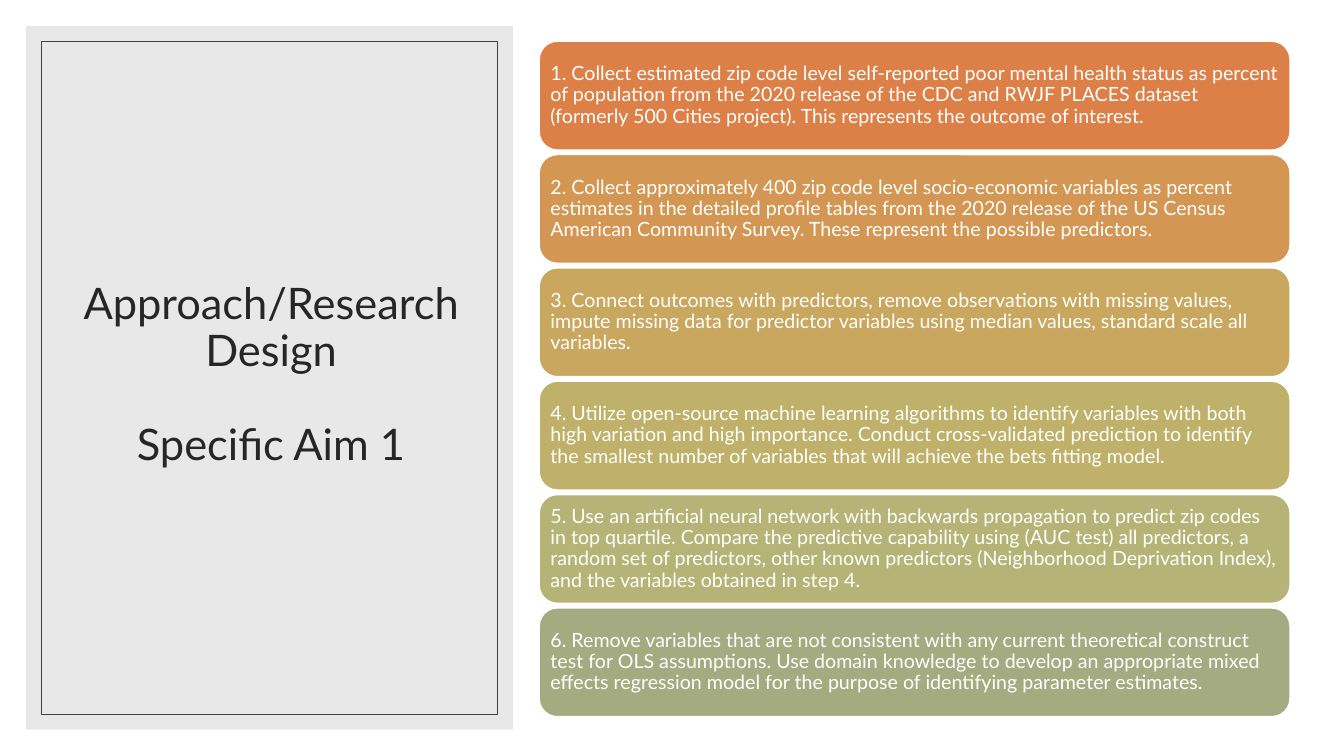
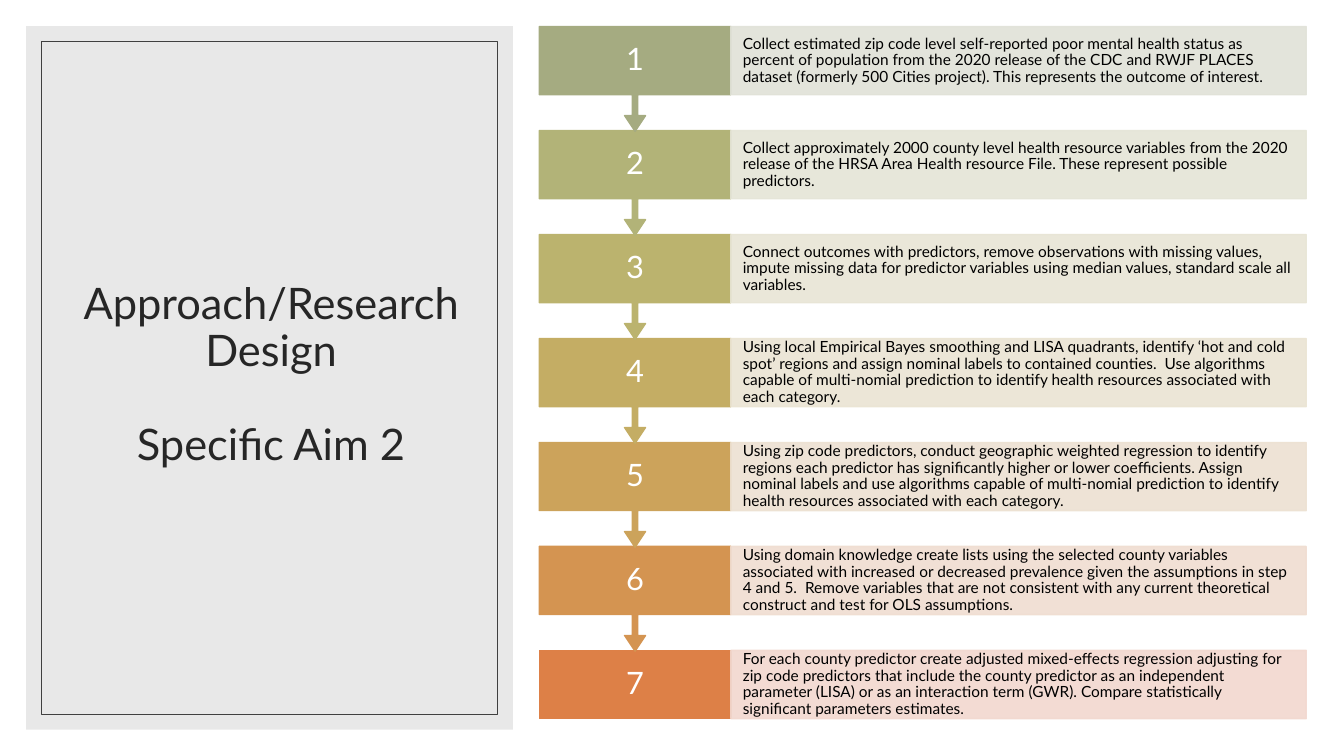
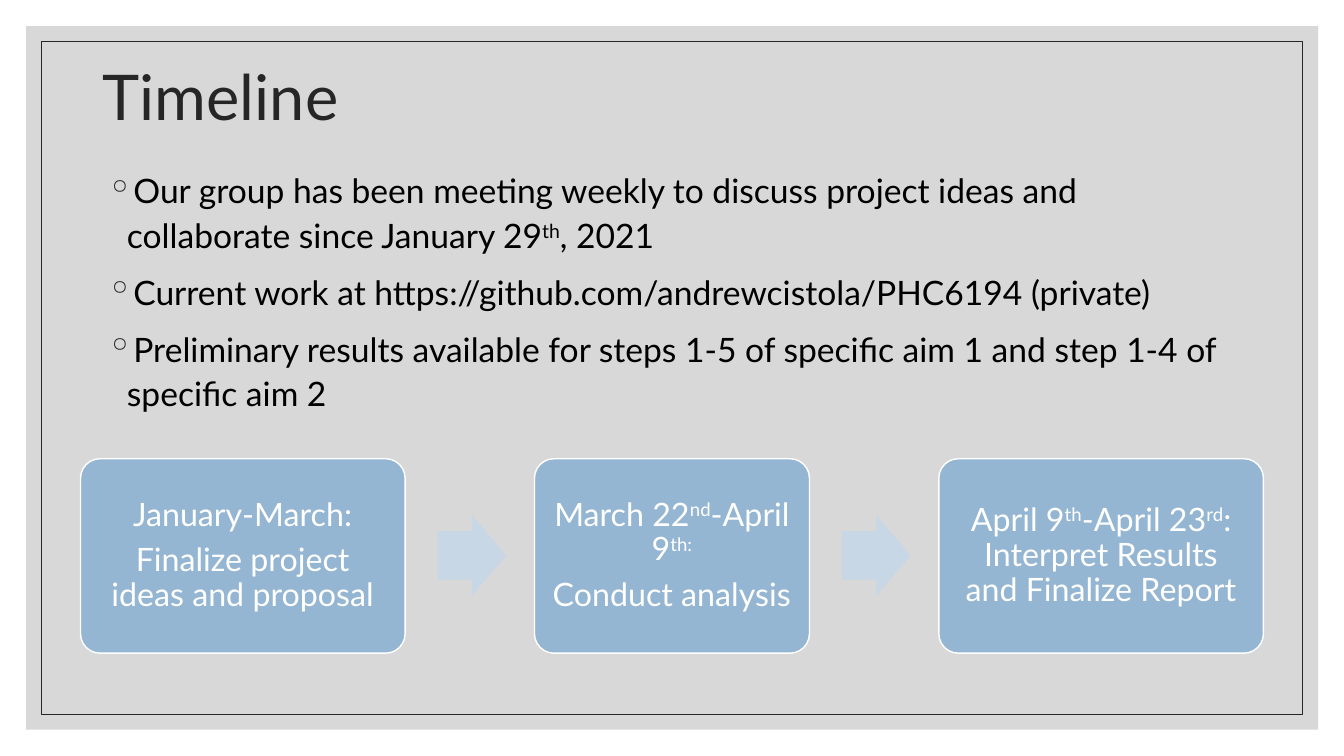
from dataclasses import dataclass

from lxml.etree import SubElement
from pptx import Presentation
from pptx.dml.color import RGBColor
from pptx.enum.shapes import MSO_SHAPE
from pptx.enum.text import MSO_ANCHOR, PP_ALIGN
from pptx.oxml.ns import qn
from pptx.util import Cm, Pt


@dataclass(frozen=True)
class Theme:
    font: str = "Lato"
    white: str = "FFFFFF"
    black: str = "000000"
    title: str = "262626"
    panel: str = "D9D9D9"
    panel_dark: str = "BFBFBF"
    frame: str = "404040"
    frame_dark: str = "262626"
    phase: str = "94B6D2"
    arrow: str = "C8D7E5"
    aim_size: int = 31
    title_size: int = 45
    body_size: int = 24
    phase_size: int = 23
    number_size: int = 22
    card_size: int = 14
    detail_size: int = 11


T = Theme()


def box(s, kind, left, top, width, height, fill=None, line=None, weight=1, opacity=100, adj=()):
    """Add a preset shape; all lengths are in centimetres."""
    sp = s.shapes.add_shape(kind, Cm(left), Cm(top), Cm(width), Cm(height))
    sp.shadow.inherit = False
    for i, value in enumerate(adj):
        sp.adjustments[i] = value
    if fill:
        sp.fill.solid()
        sp.fill.fore_color.rgb = RGBColor.from_string(fill)
    else:
        sp.fill.background()
    if line:
        sp.line.color.rgb = RGBColor.from_string(line)
        sp.line.width = Pt(weight)
    else:
        sp.line.fill.background()
    if opacity < 100:
        for clr in sp._element.spPr.iter(qn("a:srgbClr")):
            SubElement(clr, qn("a:alpha")).set("val", str(opacity * 1000))
    return sp


def write(tf, paragraphs, size, color, align=PP_ALIGN.LEFT, anchor=MSO_ANCHOR.MIDDLE,
          inset=(0.25, 0.13), spacing=0.9, before=0, bullet=None):
    """Fill a text frame; text between two ^ marks is superscript."""
    tf.word_wrap = True
    tf.vertical_anchor = anchor
    tf.margin_left = tf.margin_right = Cm(inset[0])
    tf.margin_top = tf.margin_bottom = Cm(inset[1])
    for i, text in enumerate(paragraphs):
        p = tf.add_paragraph() if i else tf.paragraphs[0]
        if bullet:
            pPr = p._p.get_or_add_pPr()
            pPr.set("marL", str(Cm(0.51)))
            pPr.set("indent", str(-Cm(0.51)))
            SubElement(SubElement(pPr, qn("a:buClr")), qn("a:srgbClr")).set("val", T.title)
            SubElement(pPr, qn("a:buChar")).set("char", bullet)
        p.alignment = align
        p.line_spacing = spacing
        p.space_before = Pt(before if i else 0)
        for j, part in enumerate(text.split("^")):
            if not part:
                continue
            r = p.add_run()
            r.text = part
            r.font.name = T.font
            r.font.size = Pt(size)
            r.font.color.rgb = RGBColor.from_string(color)
            if j % 2:
                r._r.get_or_add_rPr().set("baseline", "30000")


prs = Presentation()
prs.slide_width, prs.slide_height = Cm(33.87), Cm(19.05)

# Shared panel with an inner frame
slides = []
for width, panel, frame in [(12.27, T.panel, T.frame), (12.27, T.panel, T.frame),
                            (32.56, T.panel_dark, T.frame_dark)]:
    s = prs.slides.add_slide(prs.slide_layouts[6])
    box(s, MSO_SHAPE.RECTANGLE, 0.66, 0.66, width, 17.73, fill=panel, opacity=60)
    box(s, MSO_SHAPE.RECTANGLE, 1.04, 1.04, width - 0.78, 16.97, line=frame, weight=0.5)
    slides.append(s)
aim1, aim2, timeline = slides

# Titles of the two aims
for n, s in enumerate([aim1, aim2], 1):
    tb = s.shapes.add_textbox(Cm(1.6), Cm(1.55), Cm(10.46), Cm(15.85))
    write(tb.text_frame, ["Approach/Research Design", f"Specific Aim {n}"],
          T.aim_size, T.title, align=PP_ALIGN.CENTER, before=33.5)

# Aim 1: stacked cards
cards = [
    ("DD8047", "Collect estimated zip code level self-reported poor mental health status as percent of population from the 2020 release of the CDC and RWJF PLACES dataset (formerly 500 Cities project). This represents the outcome of interest."),
    ("D39753", "Collect approximately 400 zip code level socio-economic variables as percent estimates in the detailed profile tables from the 2020 release of the US Census American Community Survey. These represent the possible predictors."),
    ("C9A75F", "Connect outcomes with predictors, remove observations with missing values, impute missing data for predictor variables using median values, standard scale all variables."),
    ("BFB16A", "Utilize open-source machine learning algorithms to identify variables with both high variation and high importance. Conduct cross-validated prediction to identify the smallest number of variables that will achieve the bets fitting model."),
    ("B5B476", "Use an artificial neural network with backwards propagation to predict zip codes in top quartile. Compare the predictive capability using (AUC test) all predictors, a random set of predictors, other known predictors (Neighborhood Deprivation Index), and the variables obtained in step 4."),
    ("A5AB81", "Remove variables that are not consistent with any current theoretical construct test for OLS assumptions. Use domain knowledge to develop an appropriate mixed effects regression model for the purpose of identifying parameter estimates."),
]
card_h = 2.74
card_pitch = (17.02 - card_h) / (len(cards) - 1)
for i, (color, text) in enumerate(cards):
    sp = box(aim1, MSO_SHAPE.ROUNDED_RECTANGLE, 13.59, 1.04 + i * card_pitch, 18.92, card_h,
             fill=color, line=T.white)
    write(sp.text_frame, [f"{i + 1}. {text}"], T.card_size, T.white, inset=(0.15, 0.15))

# Aim 2: numbered steps, drawn from the last so that each arrow lies on top
steps = [
    ("A5AB81", "E1E2D8", "Collect estimated zip code level self-reported poor mental health status as percent of population from the 2020 release of the CDC and RWJF PLACES dataset (formerly 500 Cities project). This represents the outcome of interest."),
    ("B2B378", "E5E5D7", "Collect approximately 2000 county level health resource variables from the 2020 release of the HRSA Area Health resource File. These represent possible predictors."),
    ("BBB36E", "E8E5D5", "Connect outcomes with predictors, remove observations with missing values, impute missing data for predictor variables using median values, standard scale all variables."),
    ("C4AD64", "EBE4D3", "Using local Empirical Bayes smoothing and LISA quadrants, identify ‘hot and cold spot’ regions and assign nominal labels to contained counties.  Use algorithms capable of multi-nomial prediction to identify health resources associated with each category."),
    ("CCA35B", "EDE1D2", "Using zip code predictors, conduct geographic weighted regression to identify regions each predictor has significantly higher or lower coefficients. Assign nominal labels and use algorithms capable of multi-nomial prediction to identify health resources associated with each category."),
    ("D49451", "F0DDD1", "Using domain knowledge create lists using the selected county variables associated with increased or decreased prevalence given the assumptions in step 4 and 5.  Remove variables that are not consistent with any current theoretical construct and test for OLS assumptions."),
    ("DD8047", "F2D8CF", "For each county predictor create adjusted mixed-effects regression adjusting for zip code predictors that include the county predictor as an independent parameter (LISA) or as an interaction term (GWR). Compare statistically significant parameters estimates."),
]
step_h = 1.72
for n, (color, tint, text) in reversed(list(enumerate(steps, 1))):
    top = 0.67 + (n - 1) * 2.62
    if n == len(steps):
        sp = box(aim2, MSO_SHAPE.RECTANGLE, 13.59, top, 4.83, step_h, fill=color, line=color)
    else:
        sp = box(aim2, MSO_SHAPE.DOWN_ARROW_CALLOUT, 13.59, top, 4.83, 2.64,
                 fill=color, line=color, adj=(0.05, 0.1, 0.15, 0.65))
    write(sp.text_frame, [str(n)], T.number_size, T.white, align=PP_ALIGN.CENTER, inset=(0.36, 0))
    sp = box(aim2, MSO_SHAPE.RECTANGLE, 18.42, top, 14.5, step_h, fill=tint, line=tint, opacity=90)
    write(sp.text_frame, [text], T.detail_size, T.black, inset=(0.3, 0))

# Timeline: title and bullets
tb = timeline.shapes.add_textbox(Cm(2.34), Cm(0.61), Cm(27.94), Cm(3.81))
write(tb.text_frame, ["Timeline"], T.title_size, T.title)
tb = timeline.shapes.add_textbox(Cm(2.44), Cm(4.06), Cm(28.47), Cm(7.3))
write(tb.text_frame, [
    "Our group has been meeting weekly to discuss project ideas and collaborate since January 29^th^, 2021",
    "Current work at https://github.com/andrewcistola/PHC6194 (private)",
    "Preliminary results available for steps 1-5 of specific aim 1 and step 1-4 of specific aim 2",
], T.body_size, T.black, anchor=MSO_ANCHOR.TOP, spacing=1.1, before=9, bullet="◦")

# Timeline: phases with arrows in the gaps
phases = [
    (8.18, ["January-March:", "Finalize project ideas and proposal"]),
    (6.93, ["March 22^nd^-April 9^th:^", "Conduct analysis"]),
    (8.18, ["April 9^th^-April 23^rd^: Interpret Results and Finalize Report"]),
]
left, gap = 2.03, 3.26
for i, (width, lines) in enumerate(phases):
    if i:
        box(timeline, MSO_SHAPE.RIGHT_ARROW, left - gap + 0.82, 12.98, 1.73, 2.03,
            fill=T.arrow, adj=(0.6, 0.5))
    sp = box(timeline, MSO_SHAPE.ROUNDED_RECTANGLE, left, 11.56, width, 4.9,
             fill=T.phase, line=T.white, adj=(0.1,))
    write(sp.text_frame, lines, T.phase_size, T.white, align=PP_ALIGN.CENTER,
          inset=(0.25, 0.25), before=8)
    left += width + gap

prs.save("out.pptx")
